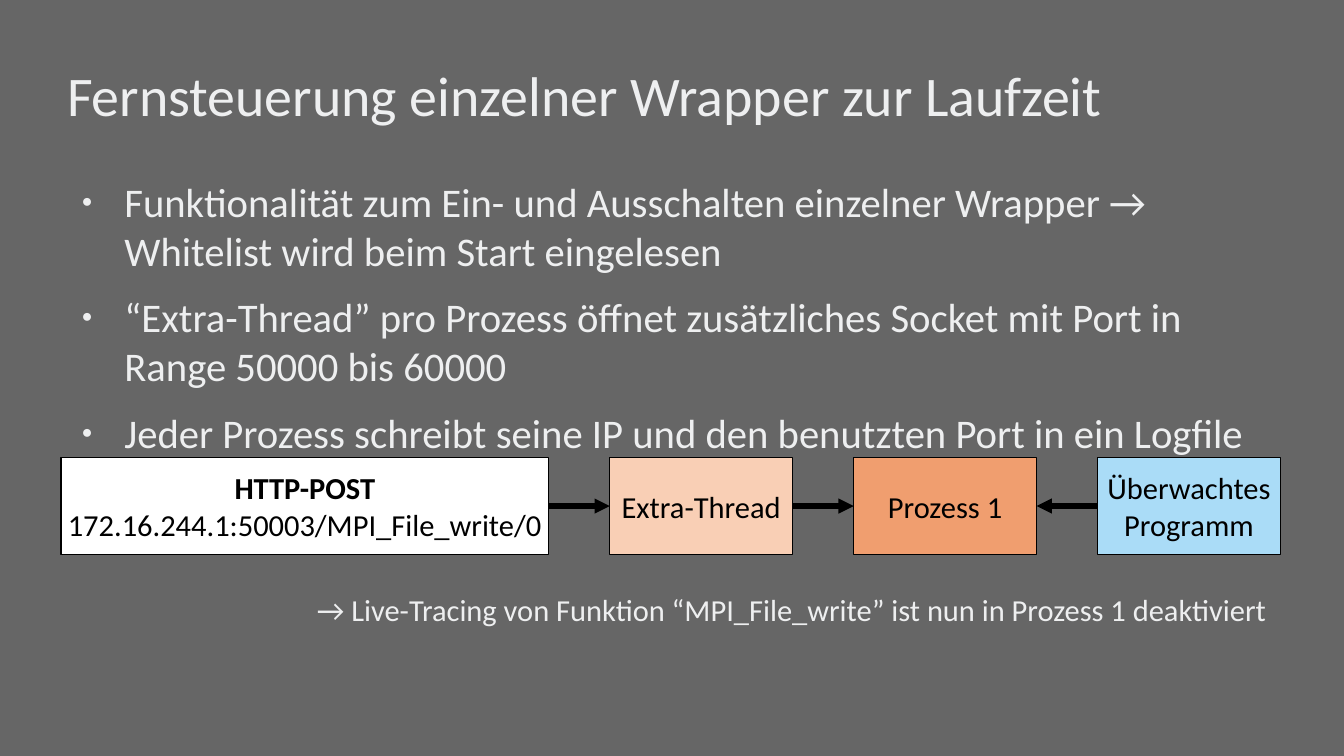
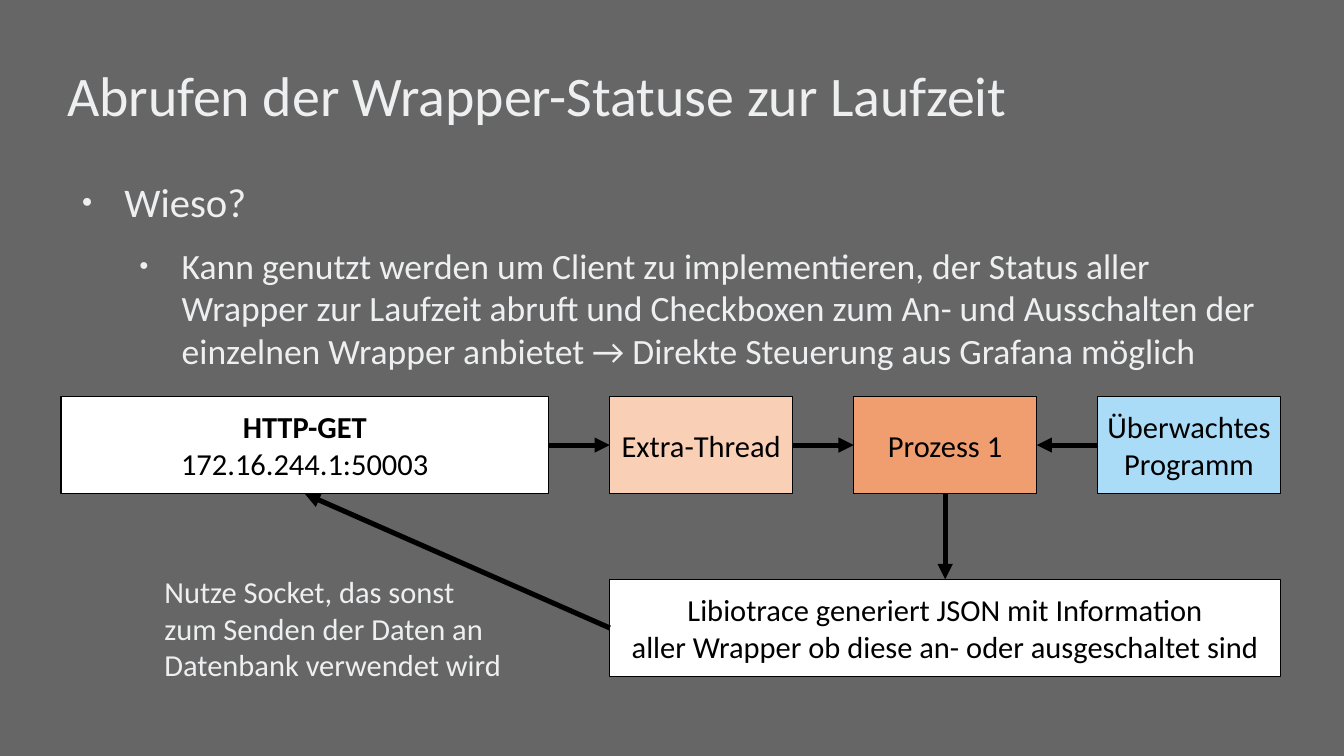
from itertools import pairwise

from lxml import etree
from pptx import Presentation
from pptx.dml.color import RGBColor
from pptx.enum.shapes import MSO_CONNECTOR as Connector
from pptx.enum.shapes import MSO_SHAPE as Shape
from pptx.enum.text import MSO_ANCHOR as Anchor
from pptx.enum.text import MSO_AUTO_SIZE as AutoSize
from pptx.enum.text import PP_ALIGN as Align
from pptx.oxml.ns import qn
from pptx.util import Inches, Pt

COLORS = {
    "background": "666666",
    "light": "EEEFF0",
    "dark": "000000",
    "white": "FFFFFF",
    "thread": "F9CFB5",
    "process": "F09E6F",
    "program": "AADCF7",
}
FONT = "Calibri"
LEFT, TEXT_WIDTH = 0.55, 9.92
BOX_HEIGHT = 0.8
BOX_GAP = 0.5
LEVELS = [
    {"indent": 0.47, "size": 24, "after": 10.6},
    {"indent": 0.94, "size": 21, "after": 8.5},
]
HANGING = 0.35
TOP, LEFT_SIDE, BOTTOM, RIGHT_SIDE = range(4)


def color(name):
    return RGBColor.from_string(COLORS[name])


def place(shape, left, top, width, height):
    shape.left, shape.top = Inches(left), Inches(top)
    shape.width, shape.height = Inches(width), Inches(height)


def format_runs(paragraph, size, color_name, bold=False):
    for run in paragraph.runs:
        run.font.name = FONT
        run.font.size = Pt(size)
        run.font.bold = bold
        run.font.color.rgb = color(color_name)


def clear_frame(text_frame, anchor):
    text_frame.margin_left = text_frame.margin_right = 0
    text_frame.margin_top = text_frame.margin_bottom = 0
    text_frame.vertical_anchor = anchor
    text_frame.auto_size = AutoSize.NONE
    text_frame.word_wrap = True


def add_bullet(paragraph, indent):
    properties = paragraph._p.get_or_add_pPr()
    properties.set("marL", str(Inches(indent)))
    properties.set("indent", str(-Inches(HANGING)))
    bullet_color = etree.SubElement(properties, qn("a:buClr"))
    etree.SubElement(bullet_color, qn("a:srgbClr"), val=COLORS["light"])
    etree.SubElement(properties, qn("a:buSzPct"), val="45000")
    etree.SubElement(properties, qn("a:buChar"), char="●")


def add_content_slide(presentation, title, items, body_height):
    slide = presentation.slides.add_slide(presentation.slide_layouts[1])
    heading, body = slide.shapes.title, slide.placeholders[1]
    place(heading, LEFT, 0.25, TEXT_WIDTH, 1.04)
    clear_frame(heading.text_frame, Anchor.MIDDLE)
    heading.text_frame.text = title
    paragraph = heading.text_frame.paragraphs[0]
    paragraph.alignment = Align.LEFT
    format_runs(paragraph, 33, "light")

    place(body, LEFT, 1.45, TEXT_WIDTH, body_height)
    clear_frame(body.text_frame, Anchor.TOP)
    body.text_frame.text = "\n".join(text for _, text in items)
    for paragraph, (level, _) in zip(body.text_frame.paragraphs, items):
        style = LEVELS[level]
        paragraph.level = level
        add_bullet(paragraph, style["indent"])
        paragraph.space_before = Pt(0)
        paragraph.space_after = Pt(style["after"])
        format_runs(paragraph, style["size"], "light")
    return slide


def add_box(slide, left, top, width, fill, text, bold_first=False):
    box = slide.shapes.add_shape(
        Shape.RECTANGLE, Inches(left), Inches(top), Inches(width), Inches(BOX_HEIGHT)
    )
    box.shadow.inherit = False
    box.fill.solid()
    box.fill.fore_color.rgb = color(fill)
    box.line.color.rgb = color("dark")
    box.line.width = Pt(0)
    text_frame = box.text_frame
    text_frame.word_wrap = False
    text_frame.vertical_anchor = Anchor.MIDDLE
    text_frame.text = text
    for index, paragraph in enumerate(text_frame.paragraphs):
        paragraph.alignment = Align.CENTER
        format_runs(paragraph, 18, "dark", bold_first and index == 0)
    return box


def add_arrow(slide, source, source_side, target, target_side):
    arrow = slide.shapes.add_connector(Connector.STRAIGHT, 0, 0, 0, 0)
    arrow.begin_connect(source, source_side)
    arrow.end_connect(target, target_side)
    arrow.line.color.rgb = color("dark")
    arrow.line.width = Pt(3)
    etree.SubElement(arrow.line._get_or_add_ln(), qn("a:tailEnd"), type="triangle")
    etree.SubElement(arrow._element.spPr, qn("a:effectLst"))


def add_chain(slide, top, request):
    columns = [
        (4, "white", request),
        (1.5, "thread", "Extra-Thread"),
        (1.5, "process", "Prozess 1"),
        (1.5, "program", "Überwachtes\vProgramm"),
    ]
    boxes, left = [], 0.5
    for width, fill, text in columns:
        boxes.append(add_box(slide, left, top, width, fill, text, text == request))
        left += width + BOX_GAP
    for source, target in pairwise(boxes[:3]):
        add_arrow(slide, source, RIGHT_SIDE, target, LEFT_SIDE)
    add_arrow(slide, boxes[3], LEFT_SIDE, boxes[2], RIGHT_SIDE)
    return boxes


def add_note(slide, left, top, width, height, text, wrap=True):
    note = slide.shapes.add_textbox(
        Inches(left), Inches(top), Inches(width), Inches(height)
    )
    note.text_frame.word_wrap = wrap
    note.text_frame.auto_size = AutoSize.SHAPE_TO_FIT_TEXT
    note.text_frame.text = text
    format_runs(note.text_frame.paragraphs[0], 18, "light")


def build_control_slide(presentation):
    items = [
        (0, "Funktionalität zum Ein- und Ausschalten einzelner Wrapper → "
            "Whitelist wird beim Start eingelesen"),
        (0, "“Extra-Thread” pro Prozess öffnet zusätzliches Socket mit Port in "
            "Range 50000 bis 60000"),
        (0, "Jeder Prozess schreibt seine IP und den benutzten Port in ein Logfile"),
    ]
    slide = add_content_slide(
        presentation, "Fernsteuerung einzelner Wrapper zur Laufzeit", items, 2.33
    )
    add_chain(slide, 3.75, "HTTP-POST\n172.16.244.1:50003/MPI_File_write/0")
    add_note(
        slide, 2.5, 4.8, 7.99, 0.4,
        "→ Live-Tracing von Funktion “MPI_File_write” ist nun in Prozess 1 deaktiviert",
        wrap=False,
    )


def build_status_slide(presentation):
    items = [
        (0, "Wieso?"),
        (1, "Kann genutzt werden um Client zu implementieren, der Status aller "
            "Wrapper zur Laufzeit abruft und Checkboxen zum An- und Ausschalten der "
            "einzelnen Wrapper anbietet → Direkte Steuerung aus Grafana möglich"),
    ]
    slide = add_content_slide(
        presentation, "Abrufen der Wrapper-Statuse zur Laufzeit", items, 1.62
    )
    request, _, process, _ = add_chain(slide, 3.25, "HTTP-GET\n172.16.244.1:50003")
    answer = add_box(
        slide, 5, 4.75, 5.5, "white",
        "Libiotrace generiert JSON mit Information\v"
        "aller Wrapper ob diese an- oder ausgeschaltet sind",
    )
    add_arrow(slide, process, BOTTOM, answer, TOP)
    add_arrow(slide, answer, LEFT_SIDE, request, BOTTOM)
    add_note(
        slide, 1.25, 4.65, 3, 1.01,
        "Nutze Socket, das sonst zum Senden der Daten an Datenbank verwendet wird",
    )


def main():
    presentation = Presentation()
    presentation.slide_width = Inches(11.02)
    presentation.slide_height = Inches(6.2)
    background = presentation.slide_master.background.fill
    background.solid()
    background.fore_color.rgb = color("background")
    build_control_slide(presentation)
    build_status_slide(presentation)
    presentation.save("out.pptx")


if __name__ == "__main__":
    main()
